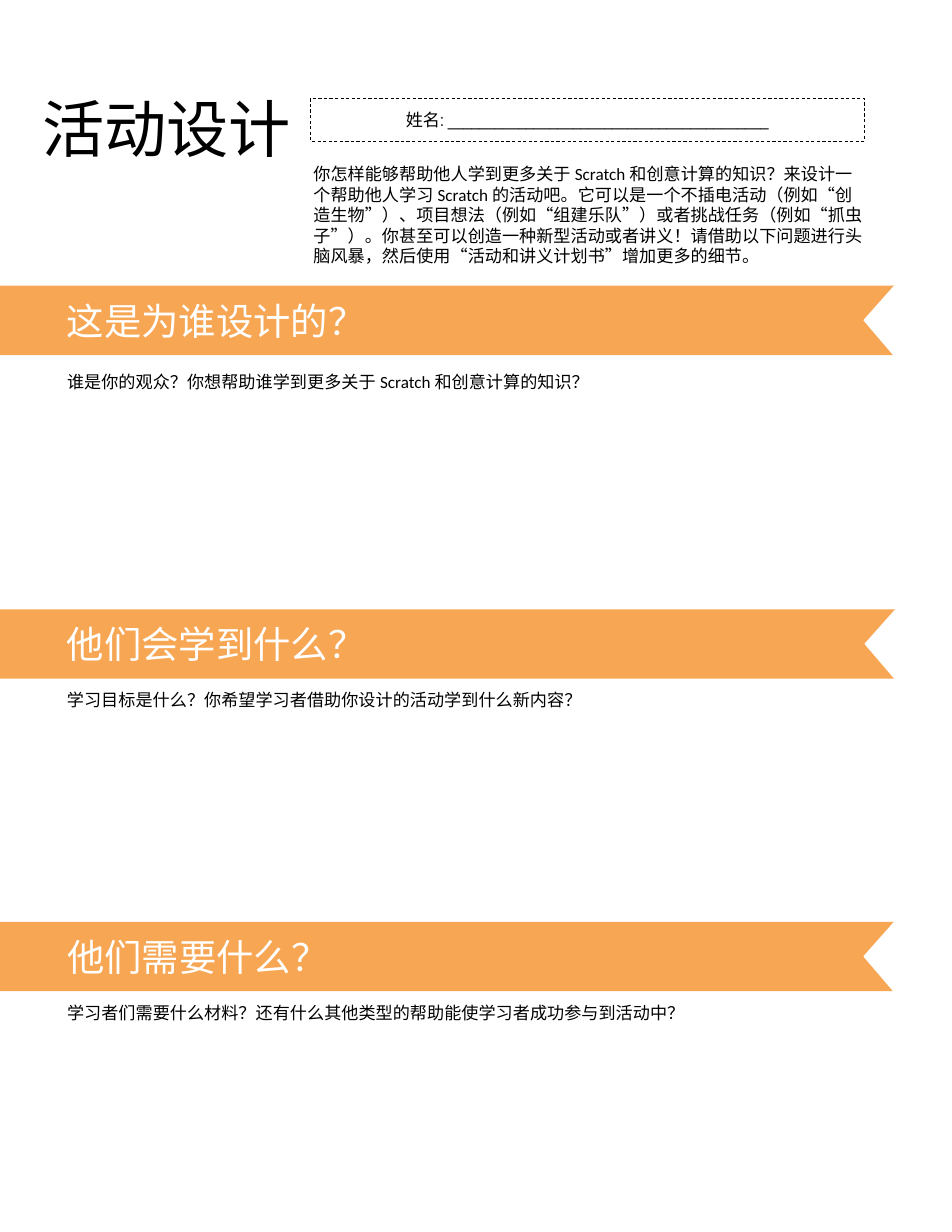
from pptx import Presentation
from pptx import util as u
from pptx.dml.color import RGBColor
from pptx.enum import dml, shapes, text

COLOURS = {"ink": "000000", "paper": "FFFFFF", "ribbon": "F7A654"}
RIBBON_HEIGHT = 0.62
NOTCH_DEPTH = 0.27
MARGIN = 0.5


def colour(name):
    return RGBColor.from_string(COLOURS[name])


class Worksheet:
    """Holds the style and the current page of a worksheet."""

    def __init__(self, page):
        self.page = page
        self.body = {"name": "Calibri", "size": u.Pt(11)}
        self.heading = {"name": "Calibri", "size": u.Pt(24)}
        self.title = {"name": "Calibri", "size": u.Pt(40)}
        self.label = {"name": "Arial Narrow", "size": u.Pt(11)}

    def fill_text(self, box, words, font, ink="ink", frame=None, para=None):
        layout = {"word_wrap": True, "auto_size": text.MSO_AUTO_SIZE.SHAPE_TO_FIT_TEXT}
        layout.update(frame or {})
        for name, value in layout.items():
            setattr(box.text_frame, name, value)
        line = box.text_frame.paragraphs[0]
        for name, value in (para or {}).items():
            setattr(line, name, value)
        span = line.add_run()
        span.text = words
        for name, value in font.items():
            setattr(span.font, name, value)
        span.font.color.rgb = colour(ink)

    def textbox(self, place, words, font, parent=None, **style):
        box = (parent or self.page).shapes.add_textbox(*map(u.Inches, place))
        self.fill_text(box, words, font, **style)

    def shape(self, kind, place, fill=None, line=None, width=0.75, parent=None):
        box = (parent or self.page).shapes.add_shape(kind, *map(u.Inches, place))
        box.shadow.inherit = False
        if fill:
            box.fill.solid()
            box.fill.fore_color.rgb = colour(fill)
        else:
            box.fill.background()
        if line:
            box.line.color.rgb = colour(line)
            box.line.width = u.Pt(width)
        else:
            box.line.fill.background()
        return box

    def name_field(self, place, words):
        box = self.shape(shapes.MSO_SHAPE.RECTANGLE, place, line="ink", width=0.5)
        box.line.dash_style = dml.MSO_LINE.DASH
        inset = u.Inches(0.1)
        sides = ("left", "top", "right", "bottom")
        frame = {f"margin_{side}": inset for side in sides}
        frame["vertical_anchor"] = text.MSO_ANCHOR.MIDDLE
        self.fill_text(box, words, self.label, frame=frame,
                       para={"alignment": text.PP_ALIGN.CENTER})

    def ribbon(self, top, width, words, words_width):
        group = self.page.shapes.add_group_shape()
        self.shape(shapes.MSO_SHAPE.RECTANGLE, (0, top, width, RIBBON_HEIGHT),
                   fill="ribbon", parent=group)
        notch = self.shape(shapes.MSO_SHAPE.ISOSCELES_TRIANGLE,
                           (width - 0.45, top + 0.18, RIBBON_HEIGHT, NOTCH_DEPTH),
                           fill="paper", line="paper", parent=group)
        notch.rotation = 270
        notch.adjustments[0] = 0.51
        self.textbox((MARGIN, top + 0.06, words_width, 0.5), words, self.heading,
                     parent=group, ink="paper",
                     frame={"vertical_anchor": text.MSO_ANCHOR.MIDDLE})


def main():
    deck = Presentation()
    deck.slide_width, deck.slide_height = u.Inches(8.5), u.Inches(11)
    sheet = Worksheet(deck.slides.add_slide(deck.slide_layouts[6]))

    sheet.name_field((2.77, 0.88, 4.95, 0.38), "姓名: " + "_" * 41)
    sheet.textbox(
        (2.7, 1.41, 5.15, 1.02),
        "你怎样能够帮助他人学到更多关于 Scratch 和创意计算的知识？"
        "来设计一个帮助他人学习 Scratch 的活动吧。"
        "它可以是一个不插电活动（例如“创造生物”）、项目想法（例如“组建乐队”）"
        "或者挑战任务（例如“抓虫子”）。你甚至可以创造一种新型活动或者讲义！"
        "请借助以下问题进行头脑风暴，然后使用“活动和讲义计划书”增加更多的细节。",
        sheet.body)

    sections = [
        (2.55, 7.99, "这是为谁设计的？", 6.77, (3.21, 7.29, 0.34), 1.3,
         "谁是你的观众？你想帮助谁学到更多关于 Scratch 和创意计算的知识？"),
        (5.44, 8, "他们会学到什么？", 7.16, (6.11, 6.77, 0.28), 1.0,
         "学习目标是什么？你希望学习者借助你设计的活动学到什么新内容？"),
        (8.23, 7.99, "他们需要什么？", 3.72, (8.9, 7.49, 0.28), 1.0,
         "学习者们需要什么材料？还有什么其他类型的帮助能使学习者成功参与到活动中？"),
    ]
    for top, width, heading, heading_width, place, spacing, prompt in sections:
        sheet.ribbon(top, width, heading, heading_width)
        sheet.textbox((MARGIN, *place), prompt, sheet.body,
                      para={"line_spacing": spacing})

    sheet.textbox((0.28, 0.76, 2.87, 0.77), "活动设计", sheet.title)
    deck.save("out.pptx")


if __name__ == "__main__":
    main()
